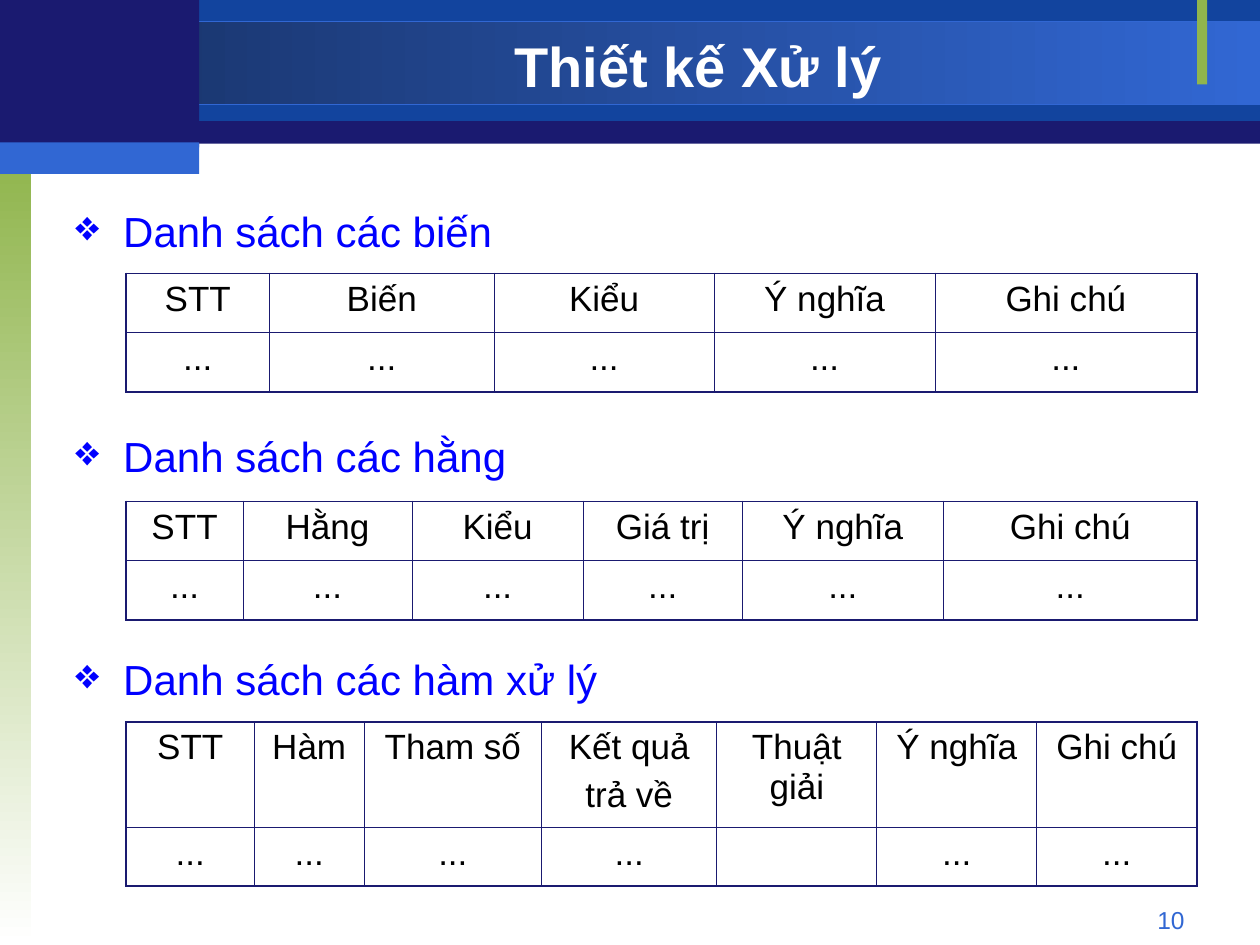
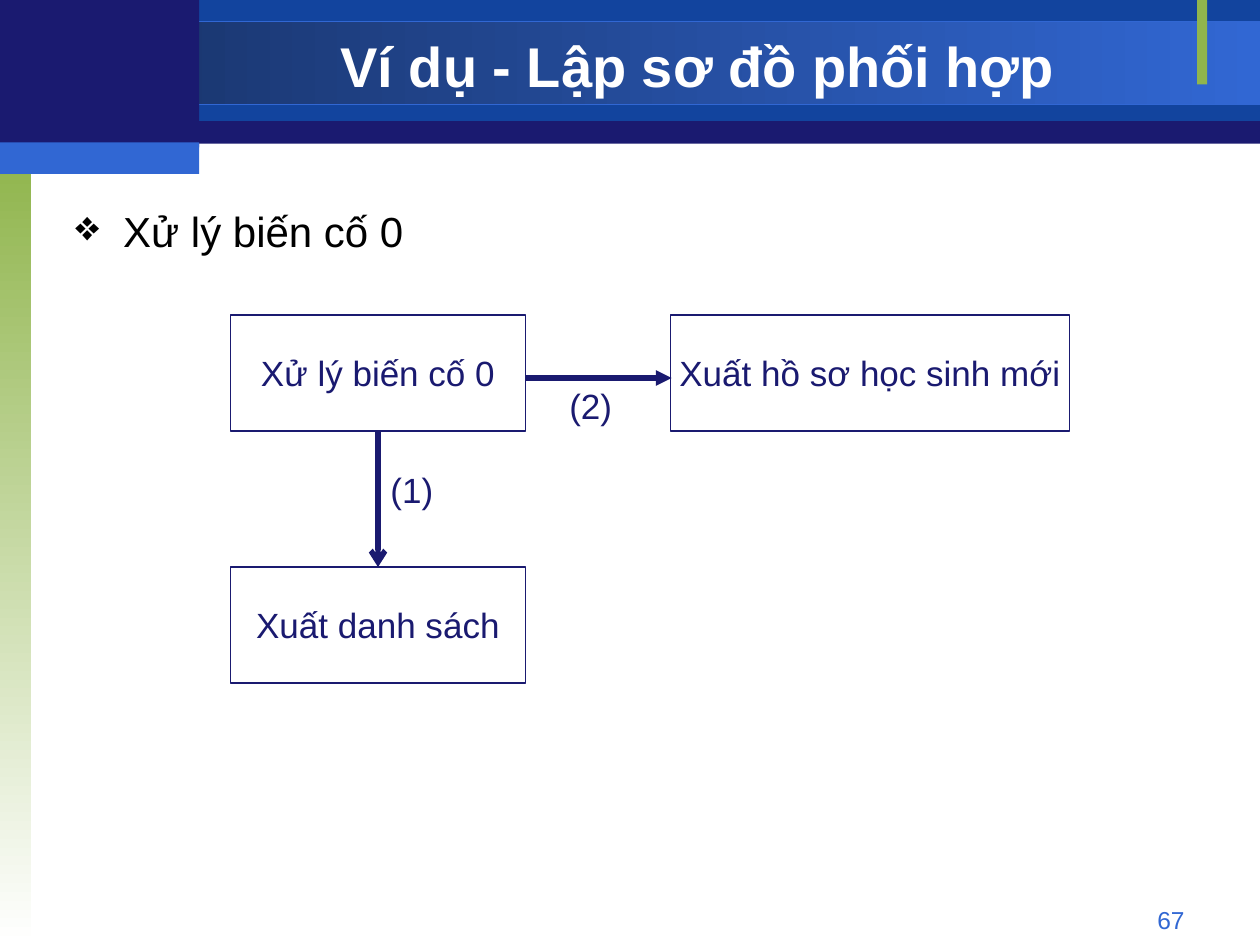
from lxml import etree
from pptx import Presentation
from pptx import util as u
from pptx.dml.color import RGBColor
from pptx.enum import shapes, text
from pptx.oxml import ns

PX = 9144
FONT = "Arial"
NAVY = RGBColor(0x1A, 0x1A, 0x70)
DEEP = RGBColor(0x17, 0x30, 0x62)
BLUE = RGBColor(0x12, 0x44, 0x9E)
SKY = RGBColor(0x31, 0x67, 0xD3)
GREEN = RGBColor(0x90, 0xB5, 0x4D)
PURE = RGBColor(0x00, 0x00, 0xFF)
WHITE = RGBColor(0xFF, 0xFF, 0xFF)
BLACK = RGBColor(0x00, 0x00, 0x00)
ALIGN = text.PP_ALIGN
MID = text.MSO_ANCHOR.MIDDLE


def px(*nums):
    return [u.Emu(n * PX) for n in nums]


def sub(node, tag, **attrs):
    child = etree.SubElement(node, ns.qn(tag))
    for key, val in attrs.items():
        child.set(key, str(val))
    return child


def write(frame, words, size=20, color=BLACK, bold=False, align=ALIGN.CENTER,
          before=0, lines=None, bullet=None):
    for i, line in enumerate(words.split("\n")):
        para = frame.add_paragraph() if i else frame.paragraphs[0]
        para.alignment = align
        para.space_before = u.Pt(before)
        if lines:
            para.line_spacing = lines
        if bullet:
            props = para._p.get_or_add_pPr()
            props.set("marL", str(38 * PX))
            props.set("indent", str(-38 * PX))
            sub(sub(props, "a:buClr"), "a:srgbClr", val=color)
            sub(props, "a:buChar", char=bullet)
        run = para.add_run()
        run.text = line
        font = run.font
        font.name, font.size, font.bold = FONT, u.Pt(size), bold
        font.color.rgb = color


class Deck:
    def __init__(self):
        self.prs = Presentation()
        self.prs.slide_width, self.prs.slide_height = px(1000, 750)
        self.slide = None

    def page(self, title, num):
        self.slide = self.prs.slides.add_slide(self.prs.slide_layouts[6])
        self.rect(0, 1, 1000, 113, NAVY)
        self.rect(158, 0, 842, 96, BLUE)
        self.rect(0, 17, 1000, 66, (DEEP, SKY, 0), SKY)
        self.rect(0, 125, 25, 625, (GREEN, WHITE, 270))
        self.rect(950, 0, 8, 67, GREEN)
        self.rect(0, 0, 158, 117, NAVY)
        self.rect(0, 113, 158, 25, SKY)
        self.label(717, 713, 233, 27, str(num), size=14, color=SKY,
                   align=ALIGN.RIGHT)
        self.label(158, 23, 792, 58, title, anchor=MID, size=32,
                   color=WHITE, bold=True)

    def rect(self, x, y, w, h, fill=None, line=None):
        box = self.slide.shapes.add_shape(
            shapes.MSO_SHAPE.RECTANGLE, *px(x, y, w, h))
        box.shadow.inherit = False
        if fill is None:
            box.fill.background()
        elif isinstance(fill, RGBColor):
            box.fill.solid()
            box.fill.fore_color.rgb = fill
        else:
            *tints, angle = fill
            box.fill.gradient()
            box.fill.gradient_angle = angle
            for stop, tint in zip(box.fill.gradient_stops, tints):
                stop.color.rgb = tint
        if line is None:
            box.line.fill.background()
        else:
            box.line.color.rgb = line
            box.line.width = u.Pt(0.75)
        return box

    def label(self, x, y, w, h, words, anchor=text.MSO_ANCHOR.TOP, **style):
        frame = self.slide.shapes.add_textbox(*px(x, y, w, h)).text_frame
        frame.word_wrap = True
        frame.vertical_anchor = anchor
        write(frame, words, **style)

    def point(self, y, words, color):
        self.label(50, y, 900, 50, words, size=24, color=color, bullet="❖",
                   align=ALIGN.JUSTIFY, before=6, lines=1.2)

    def node(self, x, y, w, words):
        box = self.rect(x, y, w, 92, line=NAVY)
        box.text_frame.word_wrap = False
        box.text_frame.vertical_anchor = MID
        write(box.text_frame, words, color=NAVY)

    def arrow(self, x1, y1, x2, y2, head):
        link = self.slide.shapes.add_connector(
            shapes.MSO_CONNECTOR.STRAIGHT, *px(x1, y1, x2, y2))
        link.line.color.rgb = NAVY
        link.line.width = u.Pt(3)
        sub(link.line._get_or_add_ln(), "a:tailEnd", type=head)
        sub(link._element.spPr, "a:effectLst")

    def table(self, y, cols, rows, cells):
        grid = self.slide.shapes.add_table(
            len(rows), len(cols), *px(100, y, sum(cols), sum(rows))).table
        grid.first_row = grid.horz_banding = False
        for col, wide in zip(grid.columns, px(*cols)):
            col.width = wide
        for row, high in zip(grid.rows, px(*rows)):
            row.height = high
        for r, line in enumerate(cells):
            for c, words in enumerate(line):
                cell = grid.cell(r, c)
                if words:
                    write(cell.text_frame, words, before=5)
                self.edges(cell, L=c == 0, R=c == len(cols) - 1,
                           T=r == 0, B=r == len(rows) - 1)
                cell.fill.background()

    def edges(self, cell, **outer):
        props = cell._tc.get_or_add_tcPr()
        for side, thick in outer.items():
            width = u.Pt(1.08 if thick else 0.45)
            edge = sub(props, f"a:ln{side}", w=int(width))
            sub(sub(edge, "a:solidFill"), "a:srgbClr", val=NAVY)


def lists(deck):
    deck.page("Thiết kế Xử lý", 10)
    dots = "..."
    parts = [
        (150, "Danh sách các biến", 217, [114, 178, 175, 175, 208], [47, 47],
         ["STT", "Biến", "Kiểu", "Ý nghĩa", "Ghi chú"], [dots] * 5),
        (329, "Danh sách các hằng", 398, [93, 134, 136, 126, 160, 201],
         [47, 47],
         ["STT", "Hằng", "Kiểu", "Giá trị", "Ý nghĩa", "Ghi chú"], [dots] * 6),
        (506, "Danh sách các hàm xử lý", 573,
         [102, 87, 141, 139, 127, 127, 127], [84, 46],
         ["STT", "Hàm", "Tham số", "Kết quả\ntrả về", "Thuật giải",
          "Ý nghĩa", "Ghi chú"], [dots] * 4 + [""] + [dots] * 2),
    ]
    for top, name, y, cols, rows, *cells in parts:
        deck.point(top, name, PURE)
        deck.table(y, cols, rows, cells)


def flow(deck):
    deck.page("Ví dụ - Lập sơ đồ phối hợp", 67)
    deck.point(150, "Xử lý biến cố 0", BLACK)
    deck.node(183, 250, 234, "Xử lý biến cố 0")
    deck.node(532, 250, 317, "Xuất hồ sơ học sinh mới")
    deck.node(183, 450, 234, "Xuất danh sách")
    deck.arrow(417, 300, 533, 300, "triangle")
    deck.arrow(300, 342, 300, 450, "arrow")
    for x, y, words in [(300, 367, "(1)"), (442, 300, "(2)")]:
        deck.label(x, y, 58, 44, words, color=NAVY, align=ALIGN.LEFT,
                   before=12.5)


def main():
    deck = Deck()
    lists(deck)
    flow(deck)
    deck.prs.save("out.pptx")


if __name__ == "__main__":
    main()
